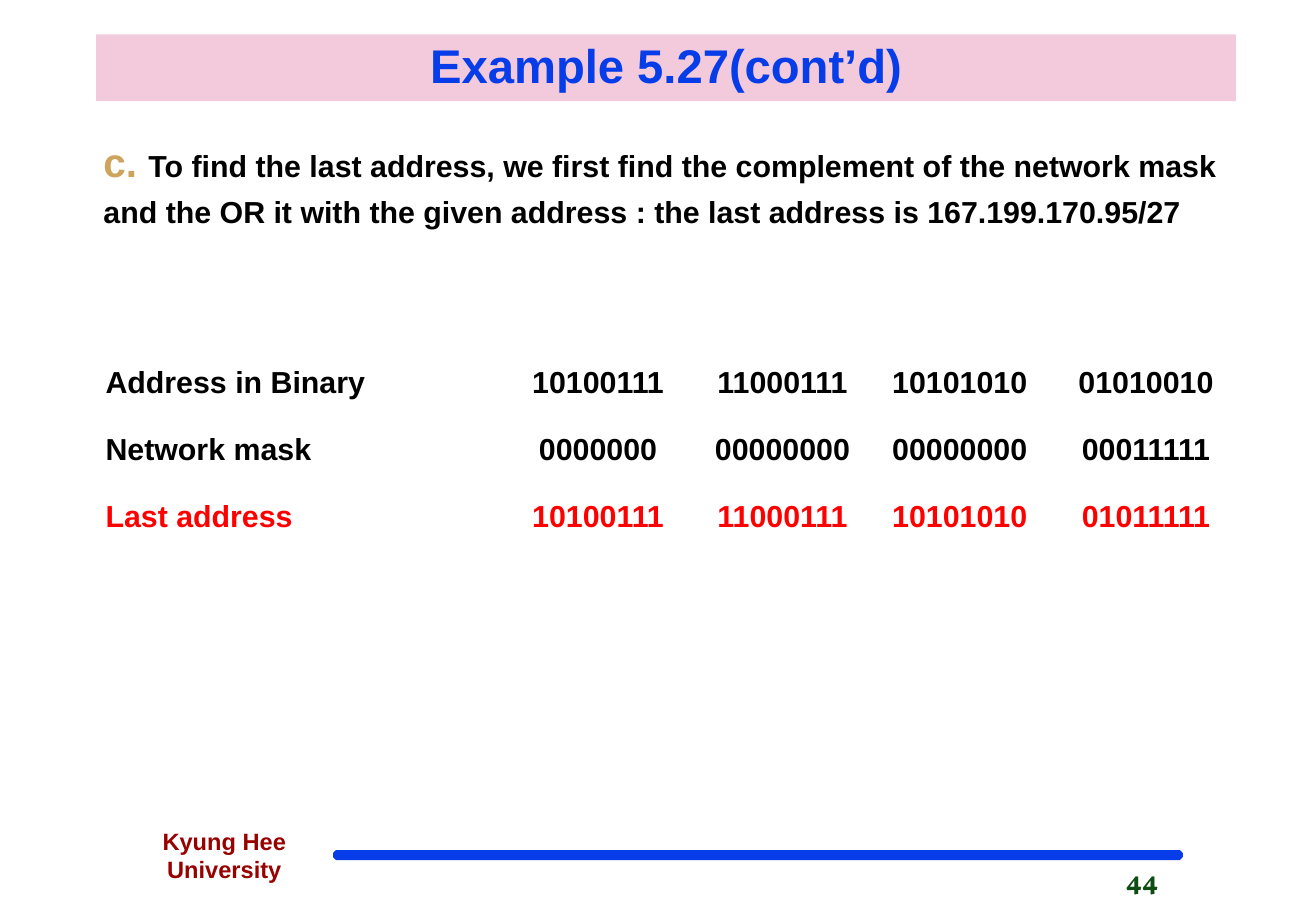
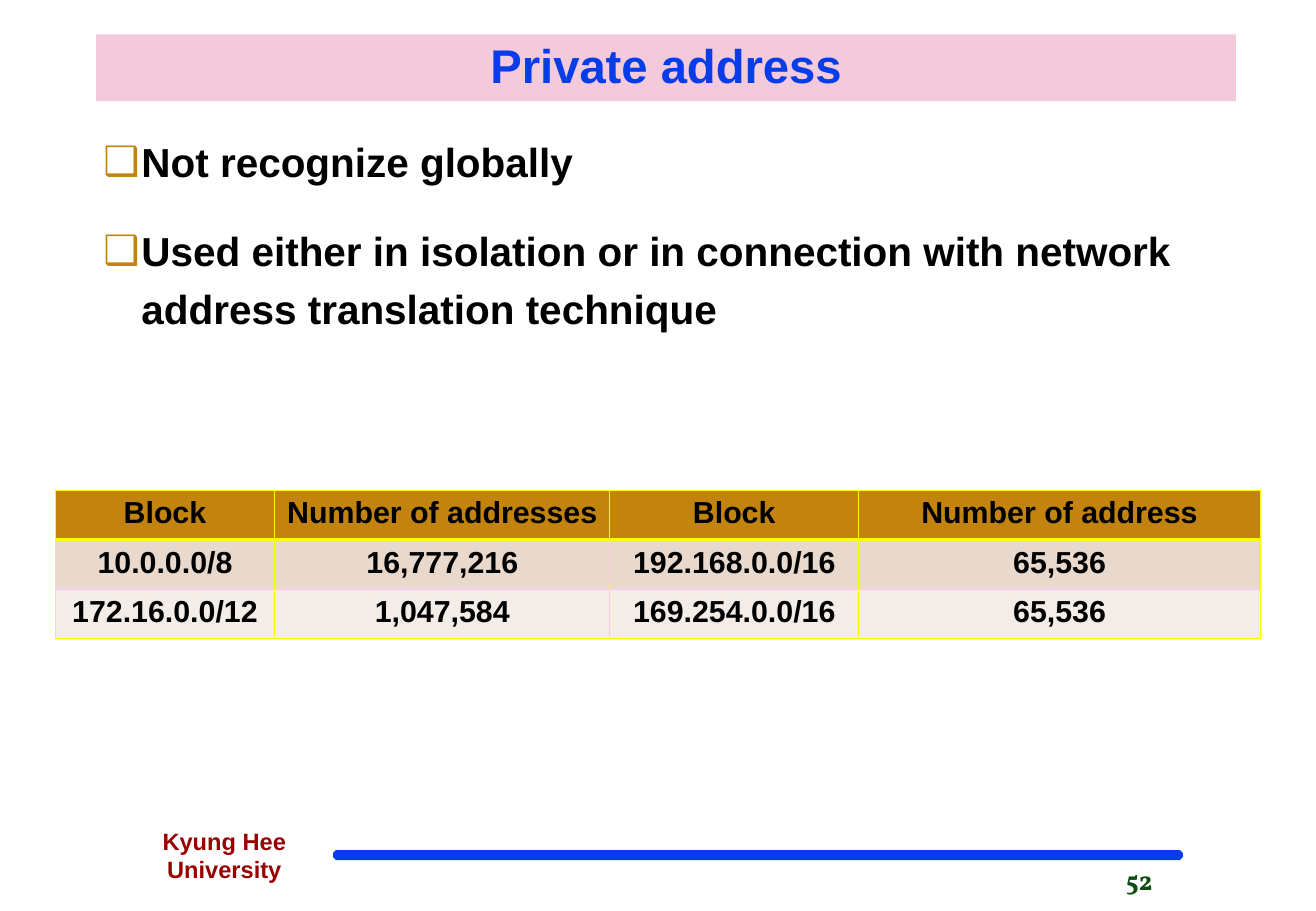
from lxml.etree import SubElement as Sub
from pptx import Presentation
from pptx.dml.color import RGBColor as RGB
from pptx.enum.shapes import MSO_SHAPE as Shape
from pptx.enum.text import MSO_ANCHOR as Anchor, MSO_AUTO_SIZE as Auto, PP_ALIGN as Align
from pptx.oxml.ns import qn
from pptx.util import Pt

HUES = {
    "blue": "063DE8", "pink": "F2CADC", "green": "0F4D13", "wine": "990000",
    "black": "000000", "red": "FF0000", "tan": "CEA35C", "gold": "C2840F",
    "yellow": "FAFD00", "beige": "E9D9CC", "cream": "F4EDE7",
}
PLAIN = "{2D5ABB26-0587-4C30-8999-92F81FD0307C}"  # table style: no fill, no grid
THIN, THICK = 0.45, 1.47


def write(para, text, size, hue="black", font="Arial"):
    """Add one bold run to a paragraph."""
    run = para.add_run()
    run.text = text
    run.font.name, run.font.size, run.font.bold = font, Pt(size), True
    run.font.color.rgb = RGB.from_string(HUES[hue])


def grid(slide, left, top, widths, height, rows):
    """Add a plain table with centred 18 pt cells and return it."""
    box = slide.shapes.add_table(len(rows), len(widths), Pt(left), Pt(top),
                                 Pt(sum(widths)), Pt(height * len(rows)))
    table = box.table
    table._tbl.tblPr.find(qn("a:tableStyleId")).text = PLAIN
    table.first_row = table.horz_banding = False
    for col, width in zip(table.columns, widths):
        col.width = Pt(width)
    for line, (hue, texts) in zip(table.rows, rows):
        line.height = Pt(height)
        for cell, text in zip(line.cells, texts):
            para = cell.text_frame.paragraphs[0]
            para.alignment = Align.CENTER
            write(para, text, 18, hue)
    return table


deck = Presentation()
deck.slide_width, deck.slide_height = Pt(780.48), Pt(540)

# Shared frame: footer bar, page number, school name, title band, body box
pages, frames = [], []
for head, num in (("Example 5.27(cont’d)", "44"), ("Private address", "52")):
    slide = deck.slides.add_slide(deck.slide_layouts[5])

    title = slide.shapes.title
    title.left, title.top, title.width, title.height = Pt(57), Pt(20.4), Pt(676), Pt(39.6)
    title.fill.solid()
    title.fill.fore_color.rgb = RGB.from_string(HUES["pink"])
    title.text_frame.auto_size = Auto.NONE
    title.text_frame.vertical_anchor = Anchor.MIDDLE
    para = title.text_frame.paragraphs[0]
    para.alignment, para.line_spacing = Align.CENTER, 0.9
    write(para, head, 28, "blue")

    bar = slide.shapes.add_shape(Shape.OCTAGON, Pt(198), Pt(504.4), Pt(503), Pt(5))
    bar.shadow.inherit = False
    bar.fill.solid()
    bar.fill.fore_color.rgb = bar.line.color.rgb = RGB.from_string(HUES["blue"])
    bar.line.width = Pt(1)

    for spot, text, size, hue, font, align in (
        ((660.6, 508.6, 97, 29), num, 16, "green", "Vollkorn", Align.LEFT),
        ((54.2, 486.4, 157.7, 41), "Kyung Hee University", 14, "wine", "Arial", Align.CENTER),
    ):
        note = slide.shapes.add_textbox(*map(Pt, spot)).text_frame
        note.word_wrap = True
        note.paragraphs[0].alignment = align
        write(note.paragraphs[0], text, size, hue, font)

    body = slide.shapes.add_textbox(Pt(54.3), Pt(72), Pt(676), Pt(420)).text_frame
    body.word_wrap = True
    pages.append(slide)
    frames.append(body)

# Example: last address
para = frames[0].paragraphs[0]
para.line_spacing, para.space_before, para.space_after = 1.2, Pt(6.8), Pt(6.8)
write(para, "c. ", 24, "tan")
write(para, "To find the last address, we first find the complement of the network mask "
            "and the OR it with the given address : the last address is 167.199.170.95/27", 18)

table = grid(pages[0], 55.4, 213.4, (241, 116.6, 102.2, 108, 113), 39.8, (
    ("black", ("Address in Binary", "10100111", "11000111", "10101010", "01010010")),
    ("black", ("Network mask", "0000000", "00000000", "00000000", "00011111")),
    ("red", ("Last address", "10100111", "11000111", "10101010", "01011111")),
))
for line in table.rows:
    line.cells[0].text_frame.paragraphs[0].alignment = Align.LEFT

# Private address
for i, text in enumerate((
    "Not recognize globally",
    "Used either in isolation or in connection with network address translation technique",
)):
    para = frames[1].add_paragraph() if i else frames[1].paragraphs[0]
    para.line_spacing, para.space_before, para.space_after = 1.2, Pt(9), Pt(9)
    props = para._p.get_or_add_pPr()
    props.set("marL", str(Pt(22.5)))
    props.set("indent", str(-Pt(22.5)))
    Sub(Sub(props, qn("a:buClr")), qn("a:srgbClr"), val=HUES["gold"])
    Sub(props, qn("a:buFont"), typeface="Arial")
    Sub(props, qn("a:buChar"), char="❑")
    write(para, text, 24)

table = grid(pages[1], 32.7, 290.4, (130.3, 198.7, 147.6, 238.3), 29.4, (
    ("black", ("Block", "Number of addresses", "Block", "Number of address")),
    ("black", ("10.0.0.0/8", "16,777,216", "192.168.0.0/16", "65,536")),
    ("black", ("172.16.0.0/12", "1,047,584", "169.254.0.0/16", "65,536")),
))
for i, (line, hue) in enumerate(zip(table.rows, ("gold", "beige", "cream"))):
    for cell in line.cells:
        props = cell._tc.get_or_add_tcPr()
        for side in "LRTB":
            wide = THICK if (i, side) in ((0, "B"), (1, "T")) else THIN
            edge = Sub(props, qn("a:ln" + side), w=str(Pt(wide)))
            Sub(Sub(edge, qn("a:solidFill")), qn("a:srgbClr"), val=HUES["yellow"])
        cell.fill.solid()
        cell.fill.fore_color.rgb = RGB.from_string(HUES[hue])

deck.save("out.pptx")
